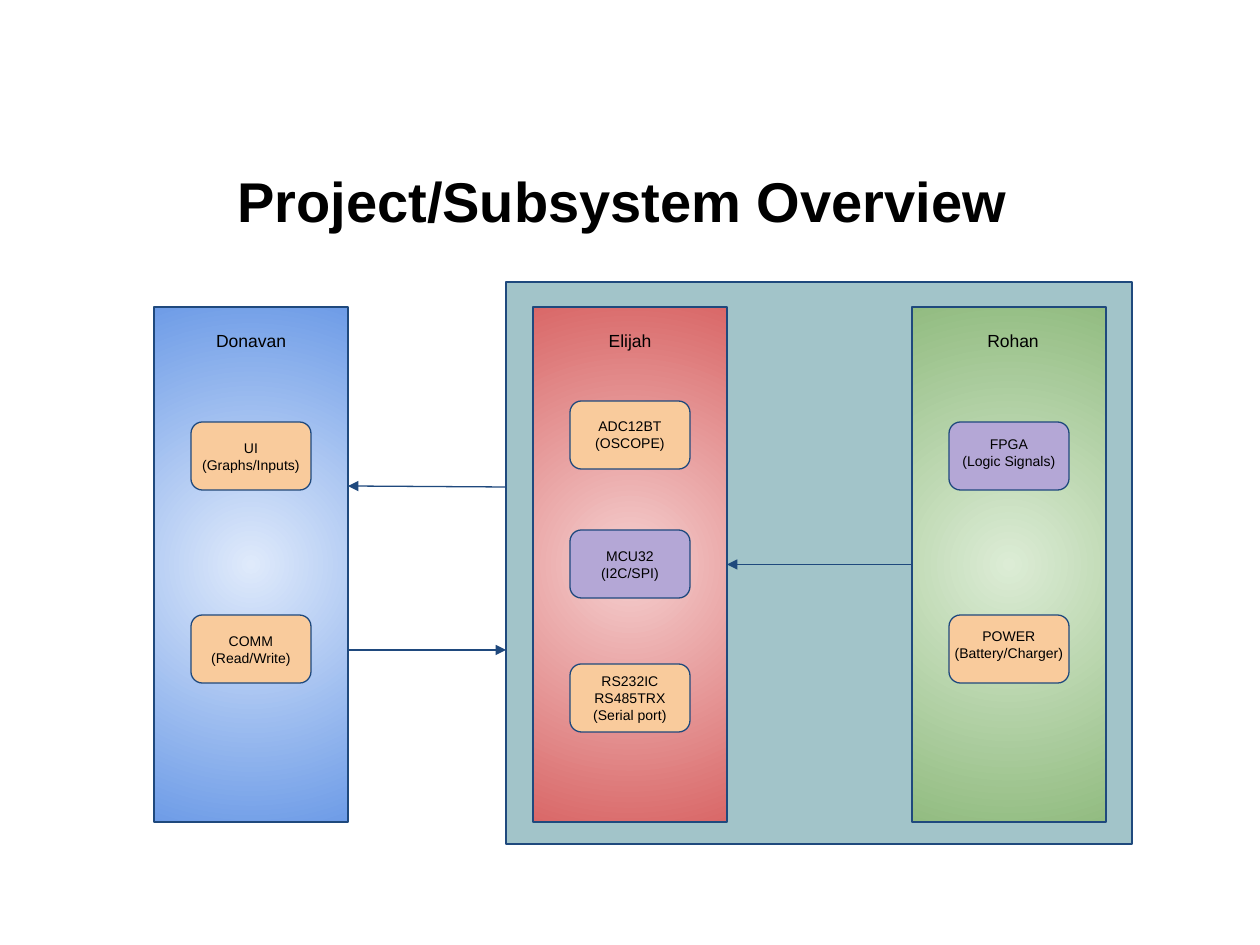
from pptx import Presentation
from pptx.dml.color import RGBColor
from pptx.enum.shapes import MSO_CONNECTOR, MSO_SHAPE
from pptx.enum.text import MSO_ANCHOR, PP_ALIGN
from pptx.oxml.ns import qn
from pptx.util import Pt
from lxml import etree

RECT, ROUNDED = MSO_SHAPE.RECTANGLE, MSO_SHAPE.ROUNDED_RECTANGLE
STRAIGHT = MSO_CONNECTOR.STRAIGHT
CENTER, TOP, MIDDLE = PP_ALIGN.CENTER, MSO_ANCHOR.TOP, MSO_ANCHOR.MIDDLE

BLACK = RGBColor(0x00, 0x00, 0x00)
NAVY = RGBColor(0x1F, 0x49, 0x7D)
TEAL = RGBColor(0xA2, 0xC4, 0xC9)
ORANGE = RGBColor(0xF9, 0xCB, 0x9C)
PURPLE = RGBColor(0xB4, 0xA7, 0xD6)
BLUES = RGBColor(0xDF, 0xEA, 0xFB), RGBColor(0x6E, 0x9C, 0xE7)
REDS = RGBColor(0xF5, 0xD0, 0xD0), RGBColor(0xD9, 0x68, 0x68)
GREENS = RGBColor(0xDC, 0xEC, 0xD5), RGBColor(0x92, 0xBC, 0x81)

EMU_PER_PX = 914400 / 126
COLUMN_LEFT, COLUMN_STEP, COLUMN_TOP = 154, 379, 307
COLUMN_WIDTH, COLUMN_HEIGHT = 194, 515
BLOCK_WIDTH, BLOCK_HEIGHT = 120, 68
LABEL_WIDTH, LABEL_HEIGHT = 140, 40
NAME_WIDTH, NAME_HEIGHT = 158, 45

COLUMNS = [
    ("Donavan", BLUES, 18, [
        (422, 5, ORANGE, ["UI", "(Graphs/Inputs)"]),
        (615, 5, ORANGE, ["COMM", "(Read/Write)"])]),
    ("Elijah", REDS, 18, [
        (401, 4, ORANGE, ["ADC12BT", "(OSCOPE)"]),
        (530, 5, PURPLE, ["MCU32", "(I2C/SPI)"]),
        (664, -4, ORANGE, ["RS232IC", "RS485TRX", "(Serial port)"])]),
    ("Rohan", GREENS, 22, [
        (422, 1, PURPLE, ["FPGA", "(Logic Signals)"]),
        (615, 0, ORANGE, ["POWER", "(Battery/Charger)"])]),
]


def px(*lengths):
    """Turn pixel lengths into EMU."""
    return [round(length * EMU_PER_PX) for length in lengths]


def assign(target, values):
    """Set every attribute named in a dict of format values."""
    for name, value in values.items():
        setattr(target, name, value)


class Diagram:
    """Hold the drawing style and the current slide."""

    font, ink, stroke, stroke_width = "Arial", BLACK, NAVY, Pt(0.75)

    def __init__(self, page):
        """Remember the slide to draw on."""
        self.page = page

    def outline(self, line):
        """Give a line the common stroke."""
        line.color.rgb = self.stroke
        line.width = self.stroke_width

    def box(self, kind, bounds, color):
        """Add an outlined shape with a plain fill."""
        box = self.page.shapes.add_shape(kind, *px(*bounds))
        box.shadow.inherit = False
        box.fill.solid()
        box.fill.fore_color.rgb = color
        self.outline(box.line)
        return box

    def radial_box(self, bounds, colors):
        """Add a rectangle shaded from its centre outwards."""
        box = self.box(RECT, bounds, colors[1])
        box.fill.gradient()
        for stop, color in zip(box.fill.gradient_stops, colors):
            stop.color.rgb = color
        gradient = box.element.spPr.find(qn("a:gradFill"))
        gradient.remove(gradient.find(qn("a:lin")))
        shade = etree.SubElement(gradient, qn("a:path"), {"path": "circle"})
        etree.SubElement(shade, qn("a:fillToRect"), dict.fromkeys("ltrb", "50000"))
        return box

    def text(self, bounds, lines, size, bold=False, anchor=TOP, inset=13):
        """Add centred text, one paragraph a line."""
        frame = self.page.shapes.add_textbox(*px(*bounds)).text_frame
        side, edge = px(13, inset)
        assign(frame, {"word_wrap": True, "vertical_anchor": anchor,
                       "margin_left": side, "margin_right": side,
                       "margin_top": edge, "margin_bottom": edge})
        for index, line in enumerate(lines):
            para = frame.add_paragraph() if index else frame.paragraphs[0]
            para.alignment = CENTER
            span = para.add_run()
            span.text = line
            assign(span.font, {"name": self.font, "size": Pt(size), "bold": bold})
            span.font.color.rgb = self.ink

    def arrow(self, start, end):
        """Add a straight arrow between two points."""
        arrow = self.page.shapes.add_connector(STRAIGHT, *px(*start, *end))
        self.outline(arrow.line)
        properties = arrow.element.spPr
        etree.SubElement(properties.find(qn("a:ln")), qn("a:tailEnd"), {"type": "triangle"})
        etree.SubElement(properties, qn("a:effectLst"))
        return arrow

    def column(self, left, name, colors, name_offset, blocks):
        """Add a person's column with its name and blocks."""
        column = self.radial_box((left, COLUMN_TOP, COLUMN_WIDTH, COLUMN_HEIGHT), colors)
        center = left + COLUMN_WIDTH // 2
        for top, shift, color, lines in blocks:
            self.box(ROUNDED, (center - BLOCK_WIDTH // 2, top, BLOCK_WIDTH, BLOCK_HEIGHT), color)
            self.text((center - LABEL_WIDTH // 2, top + shift, LABEL_WIDTH, LABEL_HEIGHT), lines, 8)
        self.text((left + name_offset, COLUMN_TOP + 12, NAME_WIDTH, NAME_HEIGHT), [name], 10)
        return column


def main():
    """Build the overview slide."""
    deck = Presentation()
    deck.slide_width, deck.slide_height = px(1260, 945)
    diagram = Diagram(deck.slides.add_slide(deck.slide_layouts[6]))

    diagram.box(RECT, (506, 282, 626, 562), TEAL)
    diagram.text((63, 145, 1134, 111), ["Project/Subsystem Overview "], 32,
                 bold=True, anchor=MIDDLE, inset=6)
    columns = [diagram.column(COLUMN_LEFT + index * COLUMN_STEP, *column)
               for index, column in enumerate(COLUMNS)]

    middle = COLUMN_TOP + COLUMN_HEIGHT // 2
    signals = diagram.arrow((912, middle), (727, middle))
    signals.begin_connect(columns[2], 1)
    signals.end_connect(columns[1], 3)
    diagram.arrow((506, 487), (348, 486))
    diagram.arrow((348, 650), (506, 650))
    deck.save("out.pptx")


if __name__ == "__main__":
    main()
